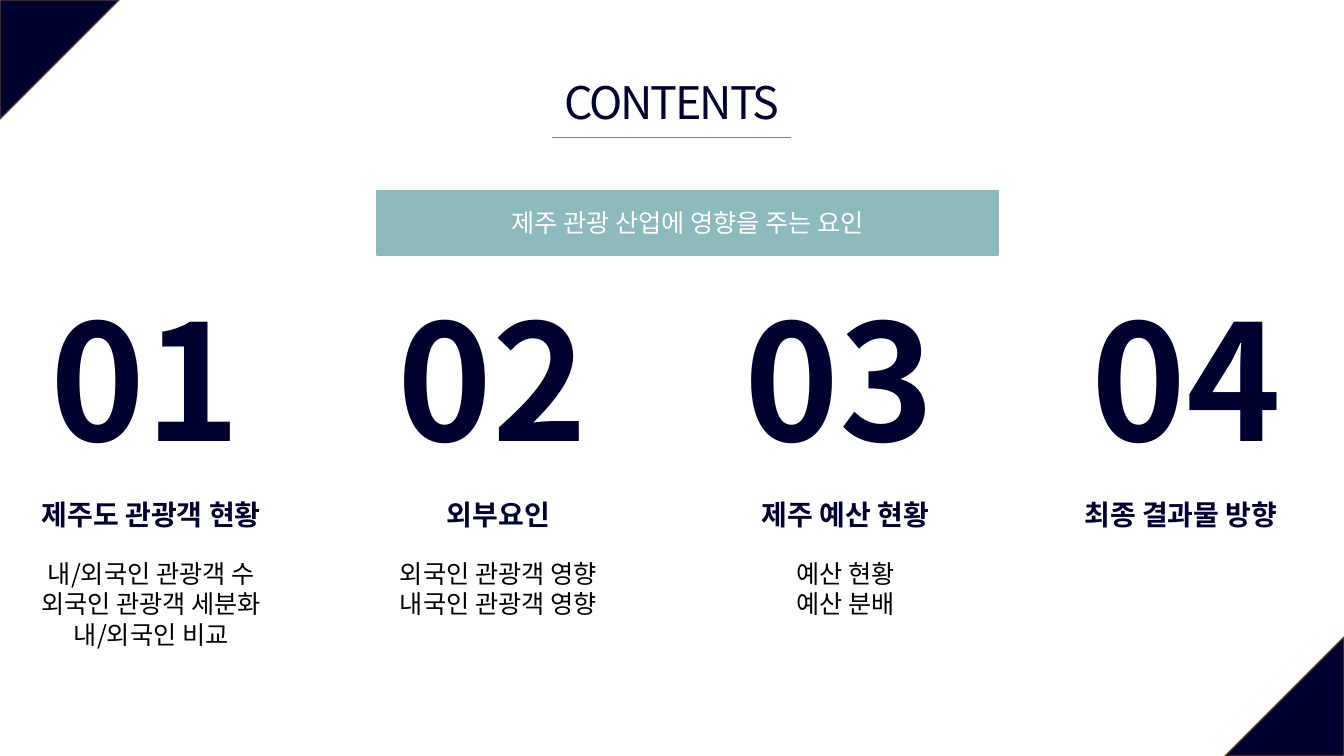
from dataclasses import dataclass

from lxml.etree import SubElement
from pptx import Presentation
from pptx.dml.color import RGBColor as Rgb
from pptx.enum.shapes import MSO_CONNECTOR as Connector, MSO_SHAPE as Shape
from pptx.enum.text import MSO_ANCHOR as Anchor, MSO_AUTO_SIZE as AutoSize, PP_ALIGN as Align
from pptx.oxml.ns import qn
from pptx.util import Pt

PAGE_WIDTH, PAGE_HEIGHT = 960, 540
FONT = "Noto Sans CJK KR"
COLORS = {"navy": "00002F", "brown": "5B3F33", "teal": "8DBABD",
          "gray": "808080", "black": "000000", "white": "FFFFFF"}
FIRST_CENTER, COLUMN_PITCH = 108, 248
CORNER_SIZE = 85


@dataclass
class Area:
    left: float
    top: float
    width: float
    height: float

    def lengths(self) -> list:
        return [Pt(value) for value in (self.left, self.top, self.width, self.height)]


@dataclass
class Style:
    size: float
    color: str
    bold: bool = False
    align: Align = Align.CENTER
    anchor: Anchor = Anchor.TOP
    wrap: bool = False
    spacing: float = 0


@dataclass
class Section:
    heading: str
    details: tuple = ()
    detail_width: float = 172.8
    heading_width: float = 172.8
    heading_shift: float = 0


STYLES = {
    "title": Style(32, "navy", spacing=-1.5),
    "banner": Style(18, "white", anchor=Anchor.MIDDLE, wrap=True),
    "number": Style(115, "navy", bold=True, align=Align.LEFT),
    "heading": Style(20, "navy", bold=True, anchor=Anchor.MIDDLE, wrap=True),
    "detail": Style(18, "black"),
}
SECTIONS = (
    Section("제주도 관광객 현황", ("내/외국인 관광객 수", "외국인 관광객 세분화", "내/외국인 비교")),
    Section("외부요인", ("외국인 관광객 영향", "내국인 관광객 영향")),
    Section("제주 예산 현황", ("예산 현황", "예산 분배"), detail_width=93.6),
    Section("최종 결과물 방향", heading_width=189.4, heading_shift=-8.4),
)


def color(name: str) -> Rgb:
    return Rgb.from_string(COLORS[name])


def write(box, lines: tuple, style: Style) -> None:
    frame = box.text_frame
    grows = style.anchor == Anchor.TOP
    frame_format = {
        "word_wrap": style.wrap,
        "vertical_anchor": style.anchor,
        "auto_size": AutoSize.SHAPE_TO_FIT_TEXT if grows else AutoSize.NONE,
    }
    for name, value in frame_format.items():
        setattr(frame, name, value)
    for index, line in enumerate(lines):
        para = frame.add_paragraph() if index else frame.paragraphs[0]
        para.alignment = style.align
        span = para.add_run()
        span.text = line
        font_format = {"name": FONT, "size": Pt(style.size), "bold": style.bold}
        for name, value in font_format.items():
            setattr(span.font, name, value)
        span.font.color.rgb = color(style.color)
        # East Asian typeface and letter spacing
        properties = span.font._element
        SubElement(properties, qn("a:ea")).set("typeface", FONT)
        if style.spacing:
            properties.set("spc", str(round(style.spacing * 100)))


def add_text(page, area: Area, lines: tuple, style: Style) -> None:
    write(page.shapes.add_textbox(*area.lengths()), lines, style)


def add_filled(page, kind: Shape, area: Area, fill: str, line: str):
    shape = page.shapes.add_shape(kind, *area.lengths())
    shape.shadow.inherit = False
    shape.fill.solid()
    shape.fill.fore_color.rgb = color(fill)
    shape.line.color.rgb = color(line)
    shape.line.width = Pt(1)
    return shape


def add_corner(page, left: float, top: float, rotation: int) -> None:
    area = Area(left, top, CORNER_SIZE, CORNER_SIZE)
    corner = add_filled(page, Shape.ISOSCELES_TRIANGLE, area, "navy", "brown")
    corner.adjustments[0] = 0
    corner.rotation = rotation


def add_rule(page, left: float, right: float, top: float) -> None:
    rule = page.shapes.add_connector(Connector.STRAIGHT, Pt(left), Pt(top), Pt(right), Pt(top))
    rule.line.color.rgb = color("gray")
    rule.line.width = Pt(0.5)
    SubElement(rule._element.spPr, qn("a:effectLst"))


def add_section(page, index: int, section: Section) -> None:
    center = FIRST_CENTER + index * COLUMN_PITCH
    add_text(page, Area(center - 79.2, 196.6, 158.4, 146.9), (f"{index + 1:02}",), STYLES["number"])
    heading_left = center + section.heading_shift - section.heading_width / 2
    add_text(page, Area(heading_left, 349.2, section.heading_width, 36.7),
             (section.heading,), STYLES["heading"])
    if section.details:
        height = 7.2 + 21.8 * len(section.details)
        add_text(page, Area(center - section.detail_width / 2, 395.3, section.detail_width, height),
                 section.details, STYLES["detail"])


def main() -> None:
    deck = Presentation()
    deck.slide_width, deck.slide_height = Pt(PAGE_WIDTH), Pt(PAGE_HEIGHT)
    page = deck.slides.add_slide(deck.slide_layouts[6])

    # Corner triangles
    add_corner(page, 0, 0, 90)
    add_corner(page, PAGE_WIDTH - CORNER_SIZE, PAGE_HEIGHT - CORNER_SIZE, 270)

    # Title with its rule
    add_text(page, Area(394.6, 49.7, 170.6, 46.1), ("CONTENTS",), STYLES["title"])
    add_rule(page, 394.6, 565.2, 97.9)

    # Numbered sections
    for index, section in enumerate(SECTIONS):
        add_section(page, index, section)

    # Topic banner
    banner = add_filled(page, Shape.RECTANGLE, Area(269.3, 136.1, 443.5, 46.1), "teal", "teal")
    write(banner, ("제주 관광 산업에 영향을 주는 요인",), STYLES["banner"])

    deck.save("out.pptx")


if __name__ == "__main__":
    main()
